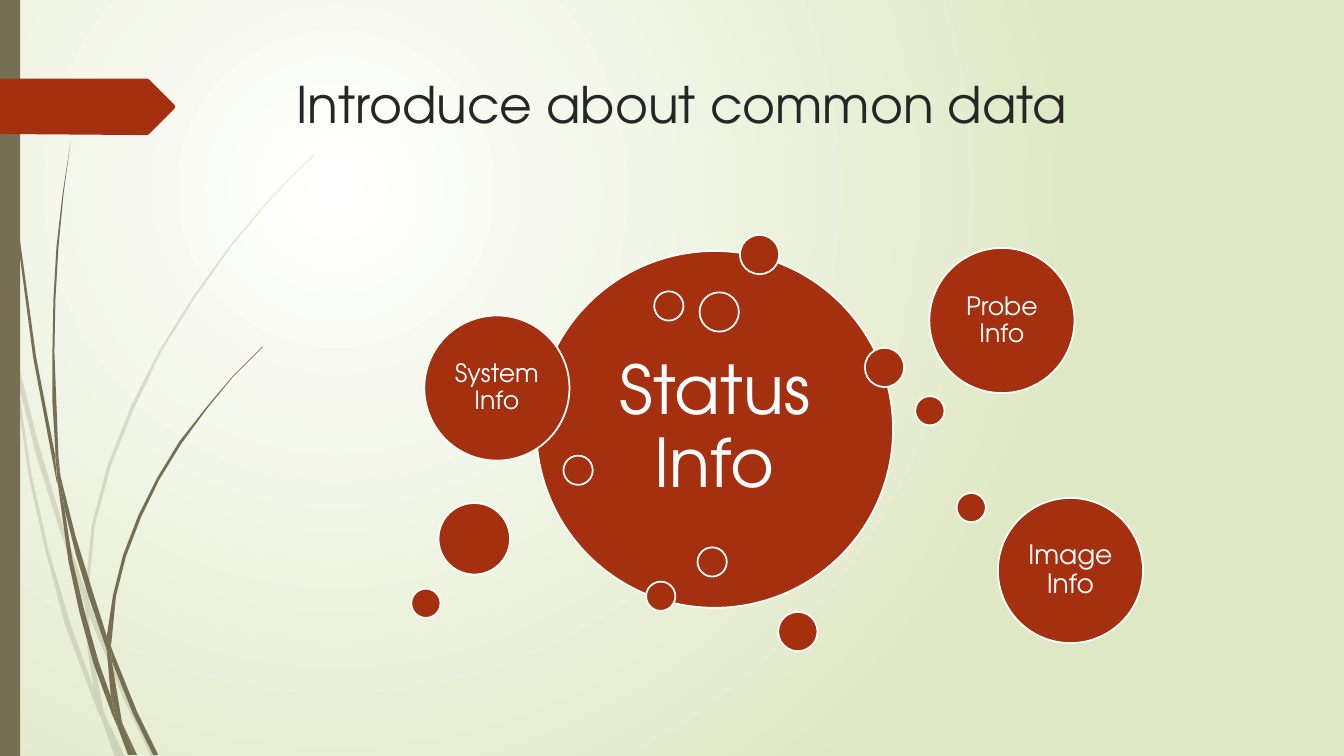
import pptx
import pptx.util
import pptx.dml.color
import pptx.enum.shapes
import pptx.enum.text
import pptx.oxml
from lxml import etree

Inches, Pt = pptx.util.Inches, pptx.util.Pt
SHAPE = pptx.enum.shapes.MSO_SHAPE

WIDTH, HEIGHT = 40 / 3, 7.5
FONT = "TeX Gyre Adventor"
TITLE = "Introduce about common data"
COLORS = {"paper": "FFFFFF", "edge": "DFE8C4", "olive": "766F54",
          "rust": "A53010", "title": "262626", "white": "FFFFFF"}

# Bubble diameters in inches
SIZES = {"hub": 3.54, "topic": 1.44, "large": 0.71, "medium": 0.39, "small": 0.29}
# Labels of bubbles: (text, points, inset)
STATUS = ("Status Info", 48, 0.2)
SYSTEM = ("System Info", 18, 0.07)
PROBE = ("Probe Info", 18, 0.07)
IMAGE = ("Image Info", 19, 0.08)
# Size, left, top, label; back to front
BUBBLES = [
    ("hub", 5.32, 2.49, STATUS),
    ("medium", 7.34, 2.33, None),
    ("small", 6.41, 5.77, None),
    ("small", 9.08, 3.93, None),
    ("medium", 7.72, 6.07, None),
    ("small", 6.49, 2.89, None),
    ("small", 5.59, 4.52, None),
    ("topic", 4.21, 3.13, SYSTEM),
    ("medium", 6.94, 2.9, None),
    ("large", 4.35, 4.99, None),
    ("topic", 9.22, 2.46, PROBE),
    ("medium", 8.58, 3.45, None),
    ("small", 4.08, 5.84, None),
    ("small", 6.92, 5.43, None),
    ("topic", 9.9, 4.94, IMAGE),
    ("small", 9.49, 4.89, None),
]

# Outlines of the grass pieces, in inches
PALE_GRASS = [
    [(0.11, 3.5), (0.09, 3.22), (0, 2.82), (0, 2.99), (0.1, 3.44)],
    [(0.58, 5.22), (0.84, 5.99), (0.85, 5.86), (0.62, 5.2), (0.37, 4.36), (0.14, 3.45),
     (0.17, 3.76), (0.36, 4.52)],
    [(0.92, 6.07), (0.88, 5.96), (0.88, 6.1), (1.23, 6.94), (1.5, 7.51), (1.55, 7.51),
     (1.27, 6.92)],
    [(1.19, 7.51), (1.24, 7.51), (1.05, 7.11)],
    [(0.93, 6.83), (0.7, 6.19), (0.48, 5.45), (0.31, 4.69), (0.17, 3.76), (0.11, 3.5),
     (0.28, 4.7), (0.45, 5.46), (0.65, 6.21), (0.92, 6.93), (1.01, 7.14), (0.99, 7.07)],
    [(0.84, 5.99), (0.87, 6.46), (0.93, 6.83), (0.96, 6.92), (1.05, 7.11), (1.03, 7.06),
     (0.91, 6.46), (0.88, 6.1), (0.88, 6.08)],
    [(0.88, 5.84), (0.94, 5.22), (1.1, 4.62), (1.33, 4.05), (1.6, 3.49), (1.93, 2.96),
     (2.29, 2.45), (2.68, 1.98), (2.9, 1.75), (3.12, 1.54), (3.12, 1.53), (2.89, 1.75),
     (2.68, 1.97), (2.28, 2.44), (1.91, 2.95), (1.58, 3.48), (1.3, 4.03), (1.07, 4.61),
     (0.91, 5.21), (0.85, 5.84), (0.85, 5.86), (0.88, 5.96)],
    [(1.01, 7.14), (1.14, 7.51), (1.19, 7.51)],
    [(0.88, 6.08), (0.88, 6.1), (0.88, 5.96), (0.85, 5.86), (0.84, 5.99)],
    [(0.96, 6.92), (0.93, 6.83), (0.99, 7.07), (1.01, 7.14), (1.19, 7.51), (1.05, 7.11)],
]
DARK_GRASS = [
    [(0.07, 1.1), (0.17, 2.33), (0.33, 3.55), (0.56, 4.77), (0.57, 4.81), (0.55, 4.57),
     (0.55, 4.53), (0.36, 3.55), (0.19, 2.32), (0.08, 1.09), (0.05, 0.48), (0.04, 0),
     (0.03, 0), (0.04, 0.48)],
    [(0.88, 5.92), (1.06, 6.45), (1.06, 6.31), (0.93, 5.9), (0.75, 5.32), (0.6, 4.72),
     (0.64, 5.05), (0.75, 5.49)],
    [(1.13, 6.49), (1.1, 6.41), (1.11, 6.56), (1.32, 7.08), (1.52, 7.49), (1.57, 7.49),
     (1.36, 7.06)],
    [(1.1, 6.91), (0.98, 6.57), (0.84, 6.07), (0.72, 5.56), (0.64, 5.05), (0.57, 4.77),
     (0.68, 5.57), (0.79, 6.08), (0.93, 6.59), (1.11, 7.08), (1.17, 7.22), (1.16, 7.17)],
    [(0.6, 4.72), (0.58, 4.53), (0.54, 3.49), (0.55, 2.97), (0.58, 2.45), (0.63, 1.93),
     (0.7, 1.41), (0.62, 1.93), (0.56, 2.45), (0.53, 2.97), (0.52, 3.49), (0.52, 3.99),
     (0.55, 4.49)],
    [(1.33, 7.49), (1.36, 7.49), (1.22, 7.19)],
    [(0.57, 4.77), (0.64, 5.05), (0.6, 4.72), (0.55, 4.49), (0.55, 4.53)],
    [(1.11, 6.33), (1.15, 5.92), (1.25, 5.52), (1.4, 5.13), (1.58, 4.76), (1.8, 4.4),
     (2.05, 4.06), (2.31, 3.74), (2.61, 3.44), (2.6, 3.44), (2.31, 3.73), (2.04, 4.05),
     (1.78, 4.38), (1.56, 4.74), (1.37, 5.12), (1.22, 5.51), (1.12, 5.91), (1.06, 6.31),
     (1.1, 6.41)],
    [(1.17, 7.22), (1.27, 7.49), (1.31, 7.49)],
    [(1.06, 6.45), (1.1, 6.91), (1.16, 7.06), (1.22, 7.19), (1.21, 7.16), (1.11, 6.56),
     (1.09, 6.51)],
    [(1.06, 6.45), (1.09, 6.51), (1.11, 6.56), (1.1, 6.41), (1.06, 6.31)],
    [(1.16, 7.06), (1.1, 6.91), (1.16, 7.17), (1.17, 7.22), (1.3, 7.49), (1.33, 7.49),
     (1.22, 7.19)],
]
ARROW = [(1.73, 1.08), (1.48, 1.33), (1.46, 1.34), (1.36, 1.34), (0, 1.33), (0, 0.78),
         (1.36, 0.78), (1.46, 0.78), (1.48, 0.79), (1.73, 1.04), (1.74, 1.06)]


def rgb(name):
    return pptx.dml.color.RGBColor.from_string(COLORS[name])


def paint(sp, fill, line=None, alpha=None):
    sp.shadow.inherit = False
    sp.fill.solid()
    sp.fill.fore_color.rgb = rgb(fill)
    if alpha:
        color = sp.fill._xPr.find(".//" + pptx.oxml.ns.qn("a:srgbClr"))
        etree.SubElement(color, pptx.oxml.ns.qn("a:alpha"), val=str(alpha * 1000))
    if line:
        sp.line.color.rgb = rgb(line)
        sp.line.width = Pt(1.25)
    else:
        sp.line.fill.background()


def set_text(sp, text, size, color):
    tf = sp.text_frame
    tf.word_wrap = True
    tf.text = text
    font = tf.paragraphs[0].runs[0].font
    font.name, font.size, font.color.rgb = FONT, Pt(size), rgb(color)
    return tf


def add_outline(shapes, points, fill, alpha=None):
    (x, y), *rest = [(round(x * 100), round(y * 100)) for x, y in points]
    builder = shapes.build_freeform(x, y, scale=9144)
    builder.add_line_segments(rest)
    paint(builder.convert_to_shape(), fill, alpha=alpha)


def set_radial_background(slide):
    fill = slide.background.fill
    fill.gradient()
    for position, name in enumerate(("paper", "edge")):
        stop = fill.gradient_stops[position]
        stop.color.rgb, stop.position = rgb(name), position
    grad = slide.background._cSld.find(".//" + pptx.oxml.ns.qn("a:gradFill"))
    grad.remove(grad.find(pptx.oxml.ns.qn("a:lin")))
    radial = etree.SubElement(grad, pptx.oxml.ns.qn("a:path"), path="circle")
    etree.SubElement(radial, pptx.oxml.ns.qn("a:fillToRect"),
                     l="50000", t="50000", r="100000", b="100000")


def add_bubble(shapes, size, left, top, label):
    d = Inches(SIZES[size])
    sp = shapes.add_shape(SHAPE.OVAL, Inches(left), Inches(top), d, d)
    paint(sp, "rust", "white")
    if label:
        text, points, inset = label
        tf = set_text(sp, text, points, "white")
        tf.vertical_anchor = pptx.enum.text.MSO_ANCHOR.MIDDLE
        tf.margin_left = tf.margin_right = Inches(inset)
        tf.margin_top = tf.margin_bottom = Inches(inset)
        p = tf.paragraphs[0]
        p.alignment = pptx.enum.text.PP_ALIGN.CENTER
        p.line_spacing = 0.9


def main():
    prs = pptx.Presentation()
    prs.slide_width, prs.slide_height = Inches(WIDTH), Inches(HEIGHT)
    slide = prs.slides.add_slide(prs.slide_layouts[6])
    shapes = slide.shapes
    set_radial_background(slide)

    for pieces, alpha in ((PALE_GRASS, 20), (DARK_GRASS, None)):
        tuft = shapes.add_group_shape().shapes
        for points in pieces:
            add_outline(tuft, points, "olive", alpha)
    bar = shapes.add_shape(SHAPE.RECTANGLE, 0, 0, Inches(0.2), Inches(HEIGHT))
    paint(bar, "olive")
    add_outline(shapes, ARROW, "rust")

    title = shapes.add_textbox(Inches(2.84), Inches(0.68), Inches(9.75), Inches(1.4))
    set_text(title, TITLE, 36, "title")

    diagram = shapes.add_group_shape().shapes
    for bubble in BUBBLES:
        add_bubble(diagram, *bubble)
    prs.save("out.pptx")


if __name__ == "__main__":
    main()
